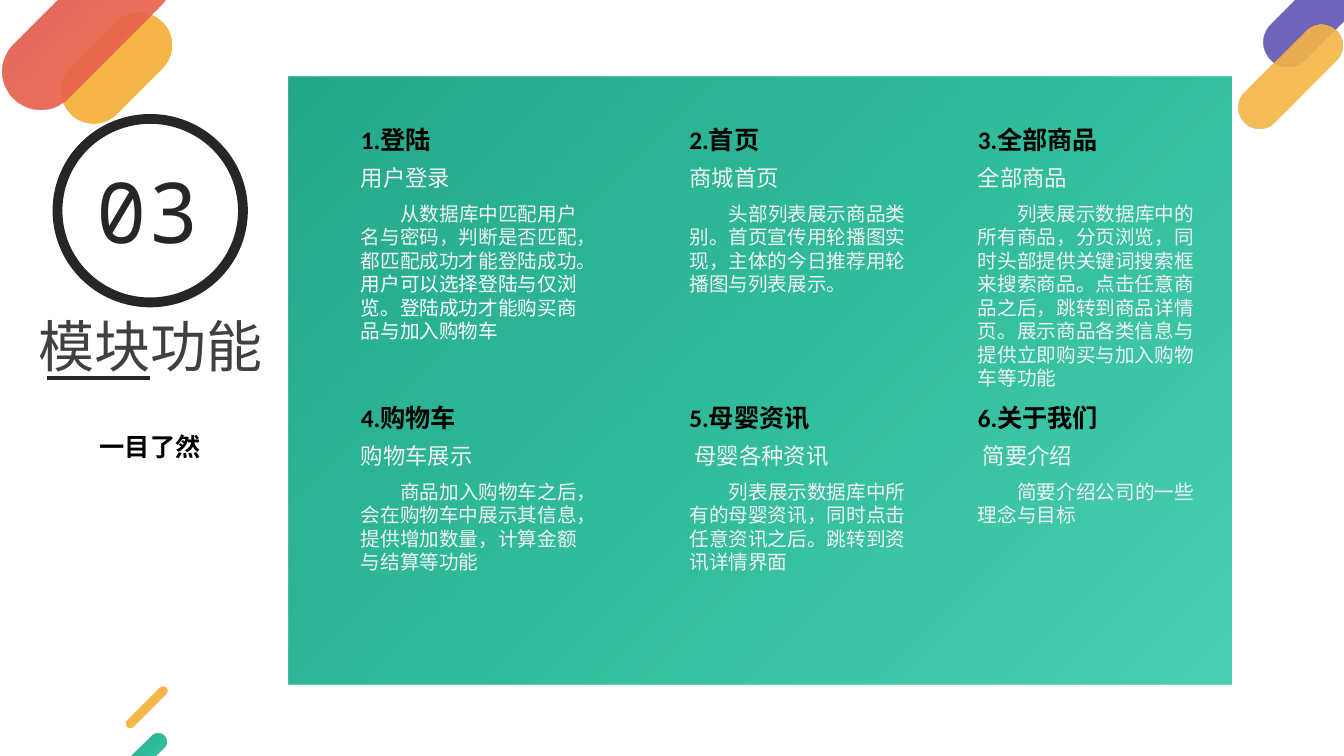
from lxml import etree
from pptx import Presentation, util as u
from pptx.dml.color import RGBColor
from pptx.enum import shapes, text
from pptx.oxml import ns

BLACK = RGBColor(0x00, 0x00, 0x00)
INK = RGBColor(0x26, 0x26, 0x26)
GREY = RGBColor(0x40, 0x40, 0x40)
PALE = RGBColor(0xF2, 0xF2, 0xF2)
WHITE = RGBColor(0xFF, 0xFF, 0xFF)
PURPLE = RGBColor(0x60, 0x57, 0xB6)
AMBER = RGBColor(0xF5, 0xB5, 0x47)
AMBER_LIGHT = RGBColor(0xF5, 0xB6, 0x47)
YELLOW = RGBColor(0xFD, 0xC6, 0x2F)
GREEN_LIGHT = RGBColor(0x38, 0xCB, 0xA9)
GREEN = RGBColor(0x30, 0xBC, 0x9B)
GREEN_DARK = RGBColor(0x24, 0xA7, 0x88)
ORANGE = RGBColor(0xF0, 0x6A, 0x48)
CORAL = RGBColor(0xE6, 0x5F, 0x4D)
RED = RGBColor(0xDC, 0x51, 0x53)

# Gradients: (colour, opacity in percent) at the start, middle and end
GREENS = [(GREEN_LIGHT, 90), (GREEN, 100), (GREEN_DARK, 100)]
AMBERS = [(AMBER_LIGHT, 100), (AMBER, 100), (AMBER, 100)]
YELLOWS = [(YELLOW, 90), (AMBER, 90), (AMBER, 90)]
REDS = [(ORANGE, 90), (CORAL, 90), (RED, 90)]
PURPLES = [(PURPLE, 90)] * 3


class Deck:
    """Style and current slide; lengths are percentages of the slide's size."""
    font = "Calibri"

    def __init__(self):
        self.prs = Presentation()
        self.prs.slide_width, self.prs.slide_height = u.Inches(13.33), u.Inches(7.5)
        self.s = self.prs.slides.add_slide(self.prs.slide_layouts[5])

    def box(self, x, y, w, h):
        W, H = self.prs.slide_width, self.prs.slide_height
        return [int(v * side / 100) for v, side in ((x, W), (y, H), (w, W), (h, H))]

    def style(self, p, size, color, bold=False, font=None, indent=0):
        p.font.size, p.font.bold = u.Pt(size), bold
        p.font.name = font or self.font
        p.font.color.rgb = color
        if indent:
            p._p.get_or_add_pPr().set("indent", str(u.Inches(indent)))

    def title(self, area, words, size, color):
        sp = self.s.shapes.title
        sp.left, sp.top, sp.width, sp.height = self.box(*area)
        tf = sp.text_frame
        tf.text, tf.vertical_anchor = words, text.MSO_ANCHOR.TOP
        tf.auto_size = text.MSO_AUTO_SIZE.NONE
        tf.paragraphs[0].alignment = text.PP_ALIGN.LEFT
        self.style(tf.paragraphs[0], size, color)

    def text(self, area, words, size, color, **look):
        tf = self.s.shapes.add_textbox(*self.box(*area)).text_frame
        tf.word_wrap = True
        p = tf.paragraphs[0]
        p.add_run().text = words
        self.style(p, size, color, **look)
        return p

    def shape(self, kind, area, stops=None, turn=0):
        sp = self.s.shapes.add_shape(kind, *self.box(*area))
        sp.shadow.inherit = False
        sp.rotation = turn
        sp.line.fill.background()
        if stops:
            self.gradient(sp, stops)
        else:
            sp.fill.background()
        return sp

    def gradient(self, sp, stops):
        """Radial fill that spreads from the bottom right corner."""
        gs = "".join(
            f'<a:gs pos="{i * 50000}"><a:srgbClr val="{color}">'
            f'<a:alpha val="{alpha * 1000}"/></a:srgbClr></a:gs>'
            for i, (color, alpha) in enumerate(stops))
        fill = etree.fromstring(
            f'<a:gradFill {ns.nsdecls("a")} rotWithShape="1"><a:gsLst>{gs}</a:gsLst>'
            '<a:path path="circle"><a:fillToRect l="100000" t="100000"/></a:path>'
            '</a:gradFill>')
        sp._element.spPr.find(ns.qn("a:prstGeom")).addnext(fill)

    def pill(self, area, stops):
        sp = self.shape(shapes.MSO_SHAPE.ROUNDED_RECTANGLE, area, stops, 314.9)
        sp.adjustments[0] = 0.5

    def rule(self, x, y, length, color, width):
        left, top, run, _ = self.box(x, y, length, 0)
        line = self.s.shapes.add_connector(
            shapes.MSO_CONNECTOR.STRAIGHT, left, top, left + run, top)
        line.line.color.rgb, line.line.width = color, u.Pt(width)
        etree.SubElement(line._element.spPr, ns.qn("a:effectLst"))

    def card(self, x, y, heading, subtitle, body, lines, sub_indent):
        """Heading, subtitle and indented body, stacked."""
        self.text((x, y, 12.6, 5.33), heading, 18, BLACK, bold=True)
        self.text((x, y + 5.33, 12.6, 4.93), subtitle, 16, PALE, indent=sub_indent)
        area = (x, y + 10.27, 18.75, 1.33 + 3.13 * lines)
        return self.text(area, body, 14, PALE, indent=0.39)


# Cards: heading, subtitle, body, number of body lines, subtitle indent
CARDS = [
    ("1.登陆", "用户登录",
     "从数据库中匹配用户名与密码，判断是否匹配，都匹配成功才能登陆成功。", 6, 0),
    ("2.首页", "商城首页",
     "头部列表展示商品类别。首页宣传用轮播图实现，主体的今日推荐用轮播图与列表展示。", 4, 0),
    ("3.全部商品", "全部商品",
     "列表展示数据库中的所有商品，分页浏览，同时头部提供关键词搜索框来搜索商品。"
     "点击任意商品之后，跳转到商品详情页。展示商品各类信息与提供立即购买与加入购物车等功能", 8, 0),
    ("4.购物车", "购物车展示",
     "商品加入购物车之后，会在购物车中展示其信息，提供增加数量，计算金额与结算等功能", 4, 0),
    ("5.母婴资讯", "母婴各种资讯",
     "列表展示数据库中所有的母婴资讯，同时点击任意资讯之后。跳转到资讯详情界面", 4, 0.05),
    ("6.关于我们", "简要介绍", "简要介绍公司的一些理念与目标", 2, 0.05),
]
COLUMNS, ROWS = (26.11, 50.56, 72.02), (15.73, 52.53)
PILLS = [
    ((3.83, 4.67, 9.68, 8.67), AMBERS),
    ((-1.2, -1.73, 15.38, 10.13), REDS),
    ((92.72, -3.33, 12.53, 6.53), PURPLES),
    ((91.22, 7.33, 9.6, 5.6), YELLOWS),
    ((8.48, 98.93, 4.35, 2.27), GREENS),
    ((8.85, 92.93, 4.13, 1.2), AMBERS),
]


def main():
    deck = Deck()

    # Panel and corner pills
    deck.shape(shapes.MSO_SHAPE.RECTANGLE, (21.46, 10.13, 70.14, 80.4), GREENS)
    for area, stops in PILLS:
        deck.pill(area, stops)

    # Section number, title and tagline
    ring = deck.shape(shapes.MSO_SHAPE.OVAL, (4.28, 15.73, 13.8, 24.27))
    ring.line.color.rgb, ring.line.width = INK, u.Pt(7)
    p = deck.text((1.65, 20.4, 18.68, 14.8), "03", 60, INK, font="Noto Sans Mono")
    p.alignment = text.PP_ALIGN.CENTER
    p.runs[0]._r.get_or_add_rPr().set("spc", "80")
    deck.title((2.1, 40.53, 19.28, 10.27), "模块功能", 40, GREY)
    deck.rule(3.53, 50, 7.65, INK, 3)
    deck.text((6.68, 56.4, 10.28, 5.33), "一目了然", 18, BLACK, bold=True)

    # Module cards, three to a row
    bodies = [deck.card(COLUMNS[i % 3], ROWS[i // 3], *card)
              for i, card in enumerate(CARDS)]
    r = bodies[0].add_run()
    r.text = "用户可以选择登陆与仅浏览。登陆成功才能购买商品与加入购物车"
    r.font.name, r.font.color.rgb = "Noto Sans CJK SC", WHITE

    deck.prs.save("out.pptx")


if __name__ == "__main__":
    main()
